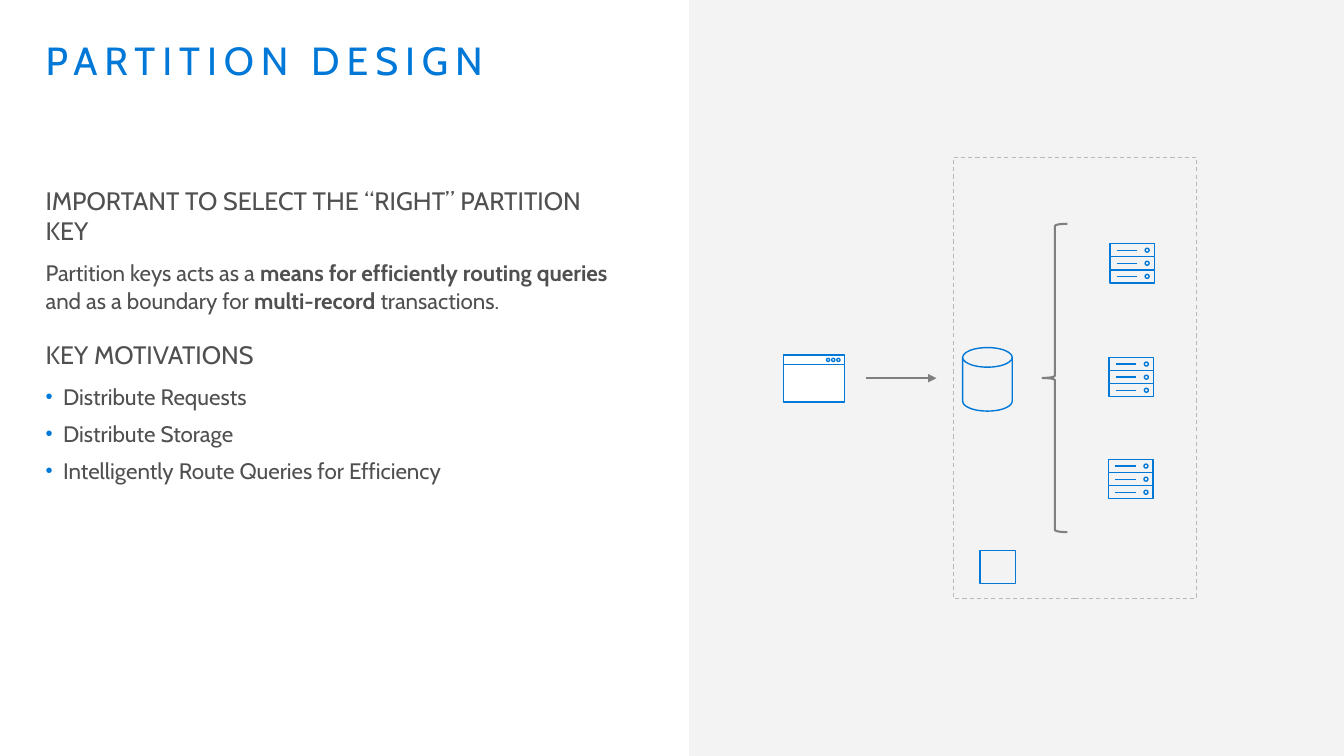
from lxml import etree
from pptx import Presentation
from pptx.dml.color import RGBColor
from pptx.enum.dml import MSO_LINE_DASH_STYLE as Dash
from pptx.enum.shapes import MSO_CONNECTOR as Link, MSO_SHAPE as Kind
from pptx.enum.text import MSO_ANCHOR as Anchor
from pptx.oxml.ns import qn
from pptx.util import Cm, Pt

COLORS = {"blue": "0078D7", "text": "505050", "gray": "808080",
          "border": "B9B9B9", "panel": "F2F2F2", "white": "FFFFFF"}
RGB = {name: RGBColor.from_string(code) for name, code in COLORS.items()}
FONT = "Cabin"


def outline(shape, color="blue", weight=1, fill=None):
    shape.shadow.inherit = False
    if fill:
        shape.fill.solid()
        shape.fill.fore_color.rgb = RGB[fill]
    else:
        shape.fill.background()
    shape.line.color.rgb = RGB[color]
    shape.line.width = Pt(weight)
    return shape


def straight(shapes, start, end, color="blue", weight=1):
    link = shapes.add_connector(Link.STRAIGHT, *map(Cm, start + end))
    link.line.color.rgb = RGB[color]
    link.line.width = Pt(weight)
    etree.SubElement(link._element.spPr, qn("a:effectLst"))
    return link


prs = Presentation()
prs.slide_width, prs.slide_height = Cm(33.87), Cm(19.05)
slide = prs.slides.add_slide(prs.slide_layouts[6])
canvas = slide.shapes

# Right-hand panel
panel = canvas.add_shape(Kind.RECTANGLE, Cm(17.37), 0, Cm(16.5), Cm(19.05))
outline(panel, fill="panel")
panel.line.fill.background()
panel_color = panel._element.spPr.find(qn("a:solidFill"))[0]
etree.SubElement(panel_color, qn("a:alpha"), val="89000")

# Text frames
title = canvas.add_textbox(Cm(0.74), Cm(0.81), Cm(14.63), Cm(2.72)).text_frame
body = canvas.add_textbox(Cm(0.74), Cm(4.42), Cm(15.37), Cm(8.08)).text_frame
for frame in (title, body):
    frame.word_wrap = True
    frame.vertical_anchor = Anchor.TOP
    frame.margin_left = frame.margin_right = Cm(0.41)
    frame.margin_top = frame.margin_bottom = Cm(0.25)

# Title
title.text = "PARTITION DESIGN"
heading = title.paragraphs[0]
heading.line_spacing = 0.9
heading.runs[0].font.size = Pt(28)
heading.runs[0].font.name = FONT
heading.runs[0].font.color.rgb = RGB["blue"]
heading.runs[0]._r.get_or_add_rPr().set("spc", "500")

# Body: role of each paragraph and its runs, every second run bold
content = [
    ("heading", ["IMPORTANT TO SELECT THE “RIGHT” PARTITION KEY"]),
    ("plain", ["Partition keys acts as a ", "means for efficiently routing queries",
               " and as a boundary for ", "multi-record ", "transactions."]),
    ("heading", ["KEY MOTIVATIONS"]),
    ("bullet", ["Distribute Requests"]),
    ("bullet", ["Distribute Storage"]),
    ("bullet", ["Intelligently Route Queries for Efficiency"]),
]
for i, (role, parts) in enumerate(content):
    paragraph = body.add_paragraph() if i else body.paragraphs[0]
    if role == "heading":
        paragraph.space_after = Pt(8)
        if i:
            paragraph.space_before = Pt(12)
    else:
        paragraph.line_spacing = 1.07
        paragraph.space_after = Pt(6)
    if role == "bullet":
        props = paragraph._p.get_or_add_pPr()
        props.set("marL", str(Cm(0.44)))
        props.set("indent", str(-Cm(0.44)))
        bullet_color = etree.SubElement(props, qn("a:buClr"))
        etree.SubElement(bullet_color, qn("a:srgbClr"), val=COLORS["blue"])
        etree.SubElement(props, qn("a:buSzPct"), val="90000")
        etree.SubElement(props, qn("a:buFont"), typeface="Arial")
        etree.SubElement(props, qn("a:buChar"), char="•")
    for j, words in enumerate(parts):
        run = paragraph.add_run()
        run.text = words
        run.font.name = FONT
        run.font.size = Pt(18 if role == "heading" else 16)
        run.font.bold = j % 2 == 1
        run.font.color.rgb = RGB["text"]

# Dashed database boundary
boundary = canvas.add_shape(Kind.RECTANGLE, Cm(24.03), Cm(3.96), Cm(6.12), Cm(11.13))
outline(boundary, "border", 0.75).line.dash_style = Dash.DASH

# Service marker
outline(canvas.add_shape(Kind.RECTANGLE, Cm(24.7), Cm(13.87), Cm(0.9), Cm(0.84)))

# Database
database = outline(canvas.add_shape(Kind.CAN, Cm(24.26), Cm(8.76), Cm(1.25), Cm(1.6)))
database.adjustments[0] = 0.395

# Request arrow
request = straight(canvas, (21.82, 9.53), (23.6, 9.53), "gray", 1.5)
etree.SubElement(request.line._get_or_add_ln(), qn("a:tailEnd"), type="triangle")

# Servers: three units each
UNIT_WIDTH, UNIT_HEIGHT = 1.12, 0.33
for left, top in [(27.97, 6.14), (27.95, 9.01), (27.94, 11.58)]:
    server = canvas.add_group_shape().shapes
    for unit in range(3):
        y = top + unit * UNIT_HEIGHT
        middle = y + UNIT_HEIGHT / 2
        outline(server.add_shape(Kind.RECTANGLE, *map(Cm, (left, y, UNIT_WIDTH, UNIT_HEIGHT))))
        outline(server.add_shape(Kind.OVAL, *map(Cm, (left + 0.89, middle - 0.05, 0.1, 0.1))))
        straight(server, (left + 0.17, middle), (left + 0.69, middle))

# Browser window
browser = canvas.add_group_shape().shapes
outline(browser.add_shape(Kind.RECTANGLE, Cm(19.75), Cm(8.95), Cm(1.54), Cm(1.18)), fill="white")
straight(browser, (21.29, 9.19), (19.75, 9.19))
for i in range(3):
    outline(browser.add_shape(Kind.OVAL, *map(Cm, (20.83 + i * 0.13, 9.03, 0.08, 0.08))))

# Brace from database to servers
outline(canvas.add_shape(Kind.LEFT_BRACE, Cm(26.27), Cm(5.64), Cm(0.63), Cm(7.77)), "gray", 1.5)

prs.save("out.pptx")
